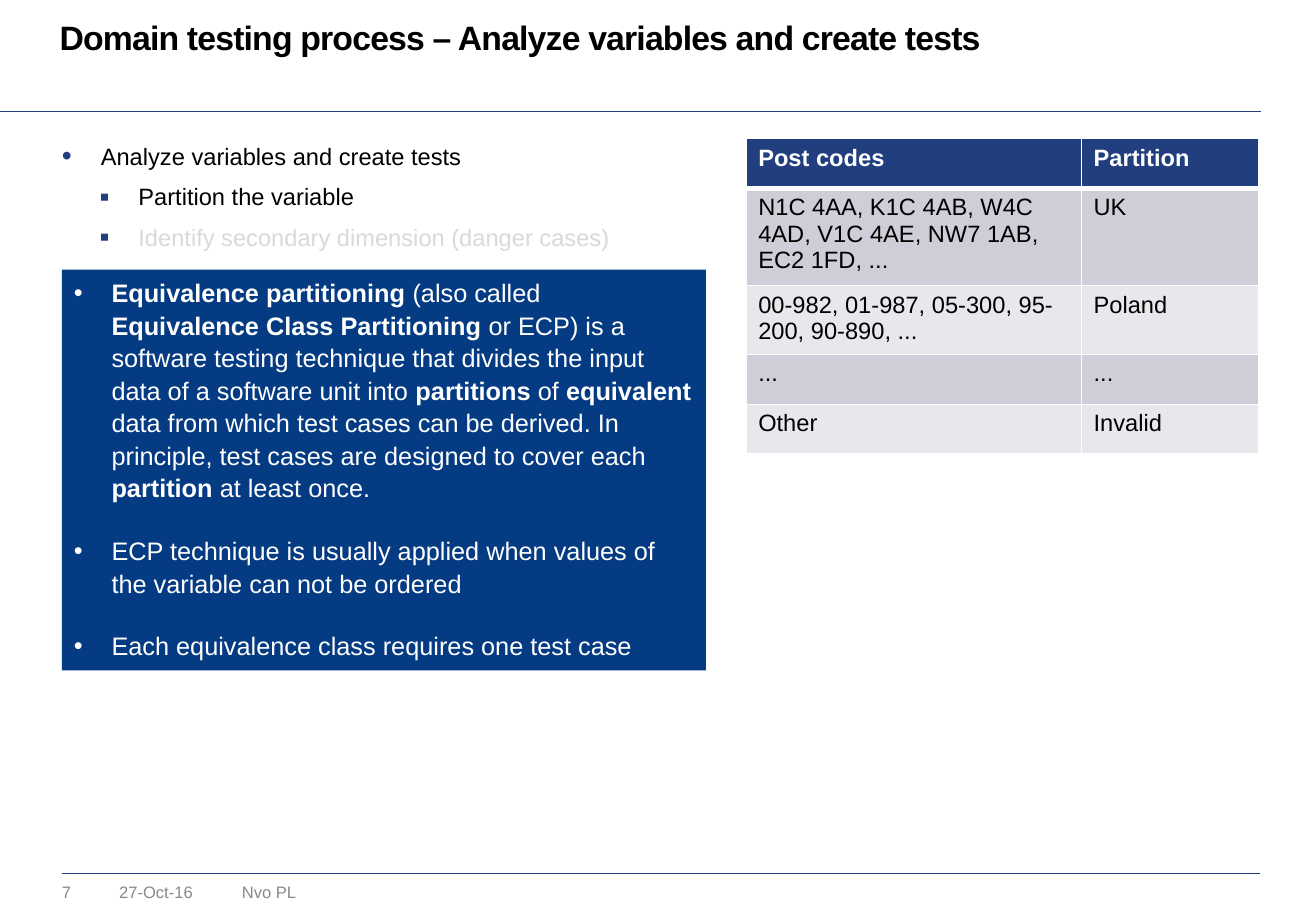
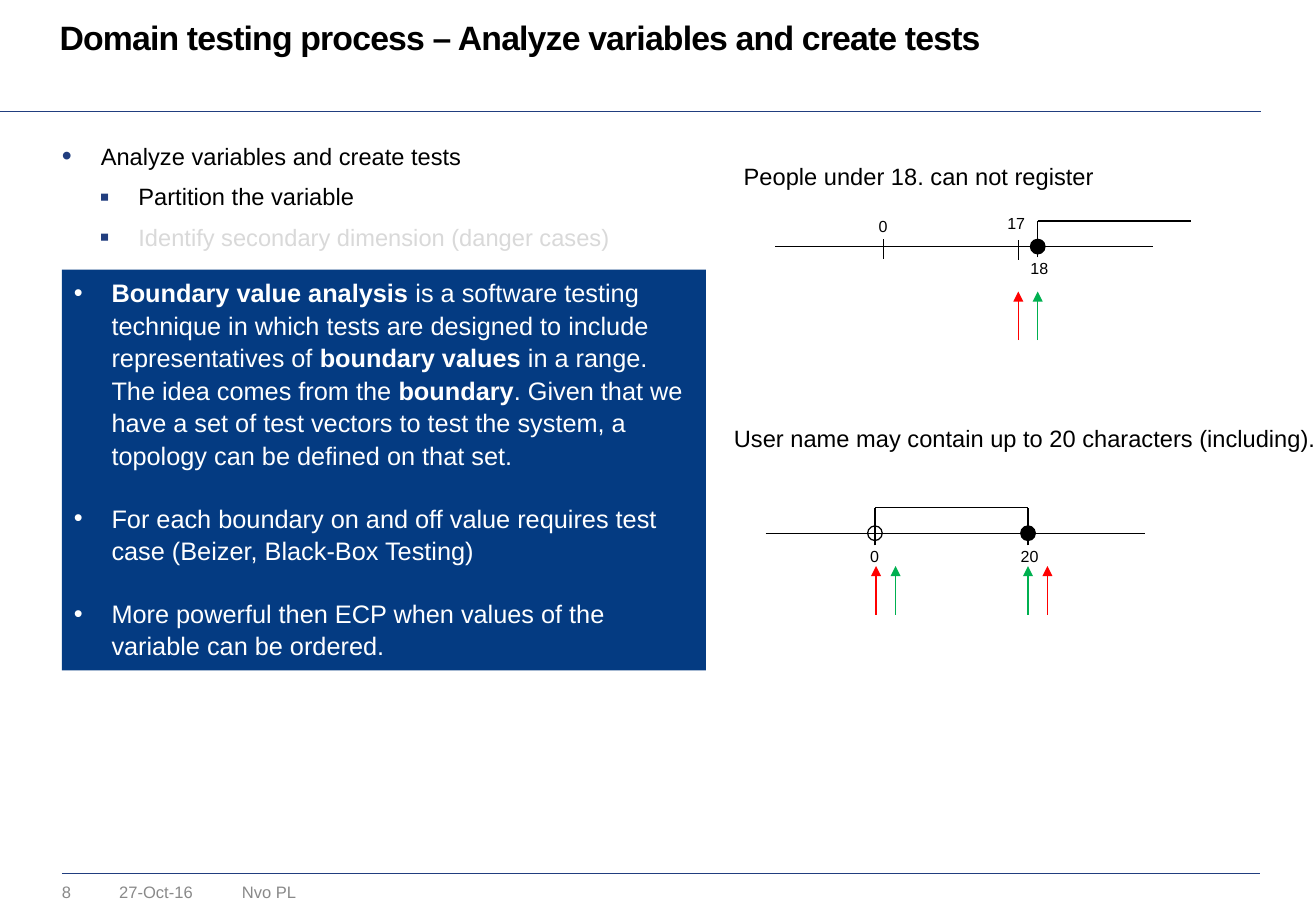
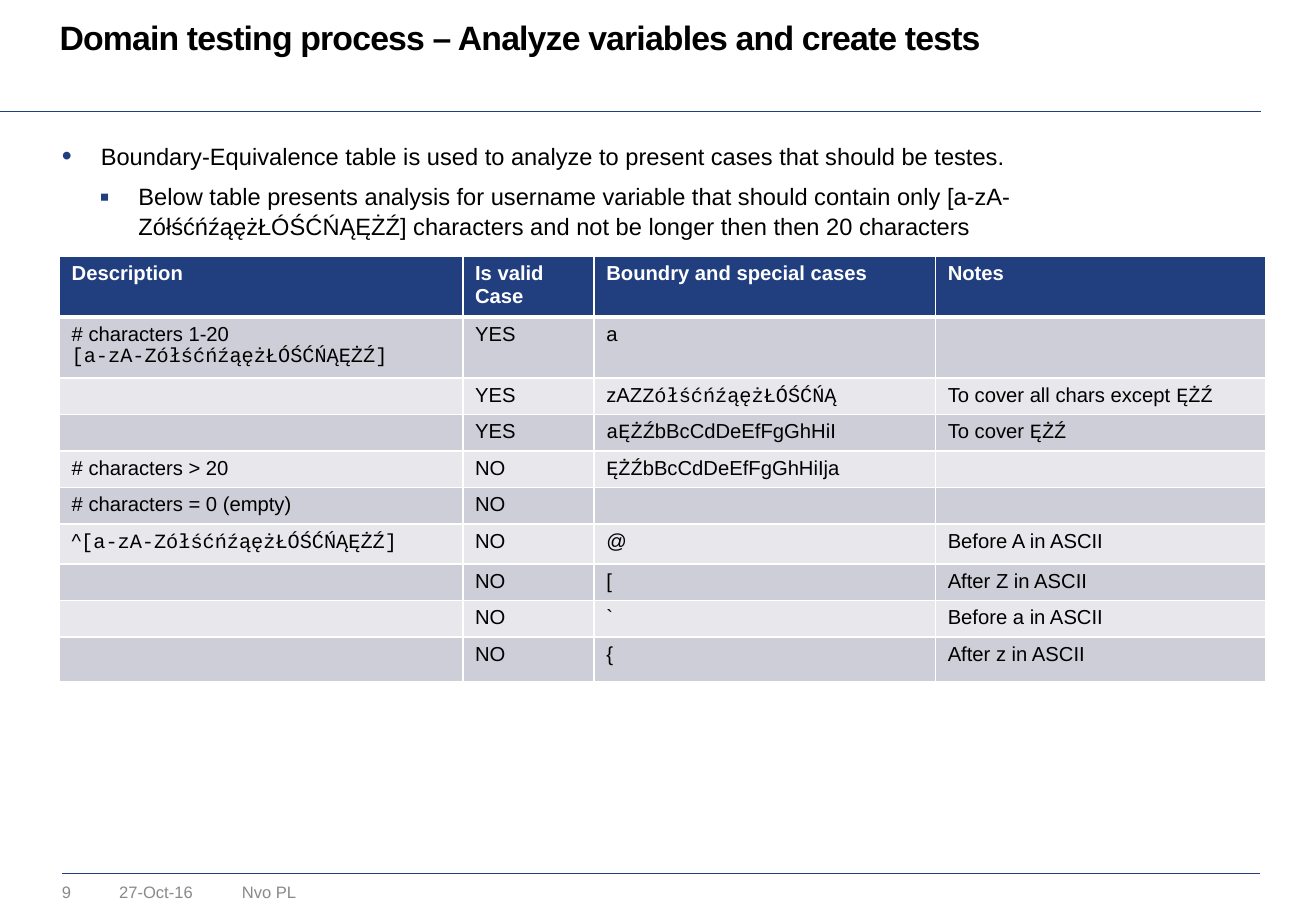
from lxml.etree import SubElement as Sub
from pptx import Presentation
from pptx.dml.color import RGBColor
from pptx.enum.shapes import MSO_CONNECTOR as Conn, MSO_SHAPE as Form
from pptx.enum.text import MSO_ANCHOR as Anchor, PP_ALIGN as Align
from pptx.oxml.ns import qn
from pptx.util import Emu, Pt

NAVY, PANEL, BLACK, WHITE = "213E7F", "043B82", "000000", "FFFFFF"
GREY, PALE, RED, GREEN = "898989", "D9D9D9", "FF0000", "00B050"
BANDS = "CDCED8", "E8E8EC"
SANS, MONO = "Arial", "Courier New"
TITLE = "Domain testing process – Analyze variables and create tests"
CHARS = "[a-zA-ZółśćńźąężŁÓŚĆŃĄĘŻŹ]"


def px(n):
    return Emu(n * 9144)


def rgb(code):
    return RGBColor.from_string(code)


class Deck:
    def __init__(self):
        self.prs = Presentation()
        self.prs.slide_width, self.prs.slide_height = px(1083), px(750)
        self.slide = None

    def page(self, num):
        self.slide = self.prs.slides.add_slide(self.prs.slide_layouts[6])
        self.line(51, 719, 1037, 719, NAVY, 0.25)
        self.line(-1, 92, 1038, 92, NAVY, 0.25)
        self.text(199, 726, 141, 17, "Nvo PL", 9.8, GREY)
        self.text(51, 726, 39, 16, str(num), 9.8, GREY)
        self.text(98, 726, 89, 16, "27-Oct-16", 9.8, GREY)
        head = self.text(49, 17, 993, 31, TITLE, 20, BLACK, True)
        para = head.paragraphs[0]
        para.line_spacing = Pt(21.7)
        para.runs[0]._r.get_or_add_rPr().set("spc", "-50")

    def put(self, frame, text, size, color, bold=False, mark="bold"):
        for i, row in enumerate(text.split("\n")):
            para = frame.add_paragraph() if i else frame.paragraphs[0]
            para.alignment = Align.LEFT
            font = para.font
            font.name, font.size, font.bold = SANS, Pt(size), bold
            font.color.rgb = rgb(color)
            for j, part in enumerate(row.split("|")):
                if not part:
                    continue
                run = para.add_run()
                run.text = part
                if j % 2 and mark == "bold":
                    run.font.bold = True
                elif j % 2:
                    run.font.name = MONO
            if not row:
                Sub(para._p, qn("a:endParaRPr"), sz=str(size * 100))

    def text(self, x, y, w, h, text, size, color=BLACK, bold=False):
        frame = self.slide.shapes.add_textbox(px(x), px(y), px(w), px(h)).text_frame
        frame.word_wrap = True
        frame.margin_left = frame.margin_right = 0
        frame.margin_top = frame.margin_bottom = 0
        self.put(frame, text, size, color, bold)
        return frame

    def bullet(self, para, char, color, pct, left, hang):
        para.line_spacing = 1.07
        prop = para._p.get_or_add_pPr()
        prop.set("marL", str(px(left)))
        prop.set("indent", str(px(-hang)))
        tint = prop.makeelement(qn("a:buClr"), {})
        Sub(tint, qn("a:srgbClr"), val=color)
        size = prop.makeelement(qn("a:buSzPct"), {"val": str(pct * 1000)})
        face = prop.makeelement(qn("a:buFont"), {"typeface": SANS})
        sign = prop.makeelement(qn("a:buChar"), {"char": char})
        base = prop.find(qn("a:defRPr"))
        for item in (tint, size, face, sign):
            base.addprevious(item)

    def body(self, w, h, text, faded=None):
        frame = self.text(51, 115, w, h, text, 14)
        for i, para in enumerate(frame.paragraphs):
            para.level = min(i, 1)
            para.space_before = para.space_after = Pt(3)
            self.bullet(para, "▪" if i else "•", NAVY, 120, 63 if i else 32, 32)
            if i == faded:
                para.font.color.rgb = rgb(PALE)

    def panel(self, text):
        box = self.shape(Form.RECTANGLE, 51, 222, 530, 330, PANEL)
        frame = box.text_frame
        frame.word_wrap = True
        frame.vertical_anchor = Anchor.TOP
        self.put(frame, text, 15, WHITE)
        for i, para in enumerate(frame.paragraphs):
            para.space_before = Pt(18 if i else 0)
            self.bullet(para, "•", WHITE, 100, 31, 31)

    def shape(self, form, x, y, w, h, fill=None, edge=None):
        box = self.slide.shapes.add_shape(form, px(x), px(y), px(w), px(h))
        box.shadow.inherit = False
        if fill:
            box.fill.solid()
            box.fill.fore_color.rgb = rgb(fill)
        else:
            box.fill.background()
        if edge:
            box.line.color.rgb = rgb(edge)
            box.line.width = Pt(0.75)
        else:
            box.line.fill.background()
        return box

    def line(self, x, y, x2, y2, color=BLACK, width=0.75, arrow=False):
        link = self.slide.shapes.add_connector(
            Conn.STRAIGHT, px(x), px(y), px(x2), px(y2))
        link.line.color.rgb = rgb(color)
        link.line.width = Pt(width)
        prop = link._element.spPr
        if arrow:
            Sub(prop.find(qn("a:ln")), qn("a:tailEnd"), type="triangle")
        Sub(prop, qn("a:effectLst"))

    def arrow(self, x, y, color):
        self.line(x, y, x, y - 40, color, arrow=True)

    def dot(self, x, y, fill=None):
        self.shape(Form.OVAL, x - 6, y - 6, 12, 12, fill, BLACK)

    def label(self, x, y, text):
        self.text(x, y, 22, 16, text, 9.5)

    def table(self, x, y, cols, highs, rows, size):
        grid = self.slide.shapes.add_table(
            len(rows), len(cols), px(x), px(y), px(sum(cols)), px(sum(highs))).table
        grid.horz_banding = False
        for col, w in zip(grid.columns, cols):
            col.width = px(w)
        for i, (line, high, row) in enumerate(zip(grid.rows, highs, rows)):
            line.height = px(high)
            for cell, text in zip(line.cells, row):
                self.put(cell.text_frame, text, size,
                         BLACK if i else WHITE, not i, "mono")
                self.edges(cell, i)
                cell.fill.solid()
                cell.fill.fore_color.rgb = rgb(BANDS[(i - 1) % 2] if i else NAVY)

    def edges(self, cell, row):
        prop = cell._tc.get_or_add_tcPr()
        for side in "LRTB":
            thick = (row, side) in ((0, "B"), (1, "T"))
            edge = Sub(prop, qn("a:ln" + side), w=str(Pt(3 if thick else 1)))
            Sub(Sub(edge, qn("a:solidFill")), qn("a:srgbClr"), val=WHITE)


STEPS = ("Analyze variables and create tests\nPartition the variable\n"
         "Identify secondary dimension (danger cases)")
CLASSES = (
    "|Equivalence partitioning| (also called |Equivalence Class Partitioning| or ECP) "
    "is a software testing technique that divides the input data of a software unit "
    "into |partitions| of |equivalent| data from which test cases can be derived. "
    "In principle, test cases are designed to cover each |partition| at least once.\n"
    "ECP technique is usually applied when values of the variable can not be ordered\n"
    "Each equivalence class requires one test case")
BOUNDS = (
    "|Boundary value analysis| is a software testing technique in which tests are "
    "designed to include representatives of |boundary values| in a range. The idea "
    "comes from the |boundary|. Given that we have a set of test vectors to test the "
    "system, a topology can be defined on that set.\n"
    "For each boundary on and off value requires test case "
    "(Beizer, Black-Box Testing)\n"
    "More powerful then ECP when values of the variable can be ordered.")
USAGE = (
    "Boundary-Equivalence table is used to analyze to present cases that should be "
    "testes.\nBelow table presents analysis for username variable that should contain "
    "only " + CHARS + " characters and not be longer then then 20 characters")
CODES = (
    ("Post codes", "Partition"),
    ("N1C 4AA, K1C 4AB, W4C 4AD, V1C 4AE, NW7 1AB, EC2 1FD, ...", "UK"),
    ("00-982, 01-987, 05-300, 95-200, 90-890, ...", "Poland"),
    ("...", "..."),
    ("Other", "Invalid"),
)
CASES = (
    ("Description", "Is valid Case", "Boundry and special cases", "Notes"),
    ("# characters 1-20\n|" + CHARS, "YES", "a", ""),
    ("", "YES", "zAZ|ZółśćńźąężŁÓŚĆŃĄ", "To cover all chars except |ĘŻŹ"),
    ("", "YES", "|aĘŻŹ|bBcCdDeEfFgGhHiI", "To cover |ĘŻŹ"),
    ("# characters > 20", "NO", "|ĘŻŹ|bBcCdDeEfFgGhHiIja", ""),
    ("# characters = 0 (empty)", "NO", "", ""),
    ("^|" + CHARS, "NO", "@", "Before A in ASCII"),
    ("", "NO", "[", "After Z in ASCII"),
    ("", "NO", "`", "Before a in ASCII"),
    ("", "NO", "{", "After z in ASCII"),
)


def classes(deck):
    deck.page(7)
    deck.body(464, 137, STEPS, 2)
    deck.panel(CLASSES)
    deck.table(614, 114, (276, 146), (41,) * 5, CODES, 14)


def bounds(deck):
    deck.page(8)
    deck.body(464, 137, STEPS, 2)
    deck.panel(BOUNDS)

    deck.text(612, 133, 471, 24, "People under 18. can not register", 14)
    deck.line(638, 203, 949, 203)
    deck.line(854, 212, 854, 182)
    deck.line(854, 182, 980, 182)
    for x, y in ((727, 197), (838, 198)):
        deck.line(x, y + 16, x, y)
    deck.dot(854, 203, BLACK)
    for x, y, text in ((723, 178, "0"), (829, 176, "17"), (848, 213, "18")):
        deck.label(x, y, text)
    for x, color in ((838, RED), (854, GREEN)):
        deck.arrow(x, 280, color)

    deck.text(604, 349, 500, 24,
              "User name may contain up to 20 characters (including).", 14)
    deck.line(630, 439, 942, 439)
    for x, fill in ((720, None), (846, BLACK)):
        deck.line(x, 449, x, 418)
        deck.dot(x, 439, fill)
    deck.line(720, 418, 846, 418)
    for x, text in ((716, "0"), (840, "20")):
        deck.label(x, 450, text)
    for x, color in ((721, RED), (737, GREEN), (846, GREEN), (862, RED)):
        deck.arrow(x, 506, color)


def cases(deck):
    deck.page(9)
    deck.body(850, 80, USAGE)
    deck.table(49, 211, (332, 108, 281, 272),
               (46, 46, 28, 28, 28, 28, 33, 28, 28, 37), CASES, 12)


def main():
    deck = Deck()
    for build in (classes, bounds, cases):
        build(deck)
    deck.prs.save("out.pptx")


if __name__ == "__main__":
    main()
